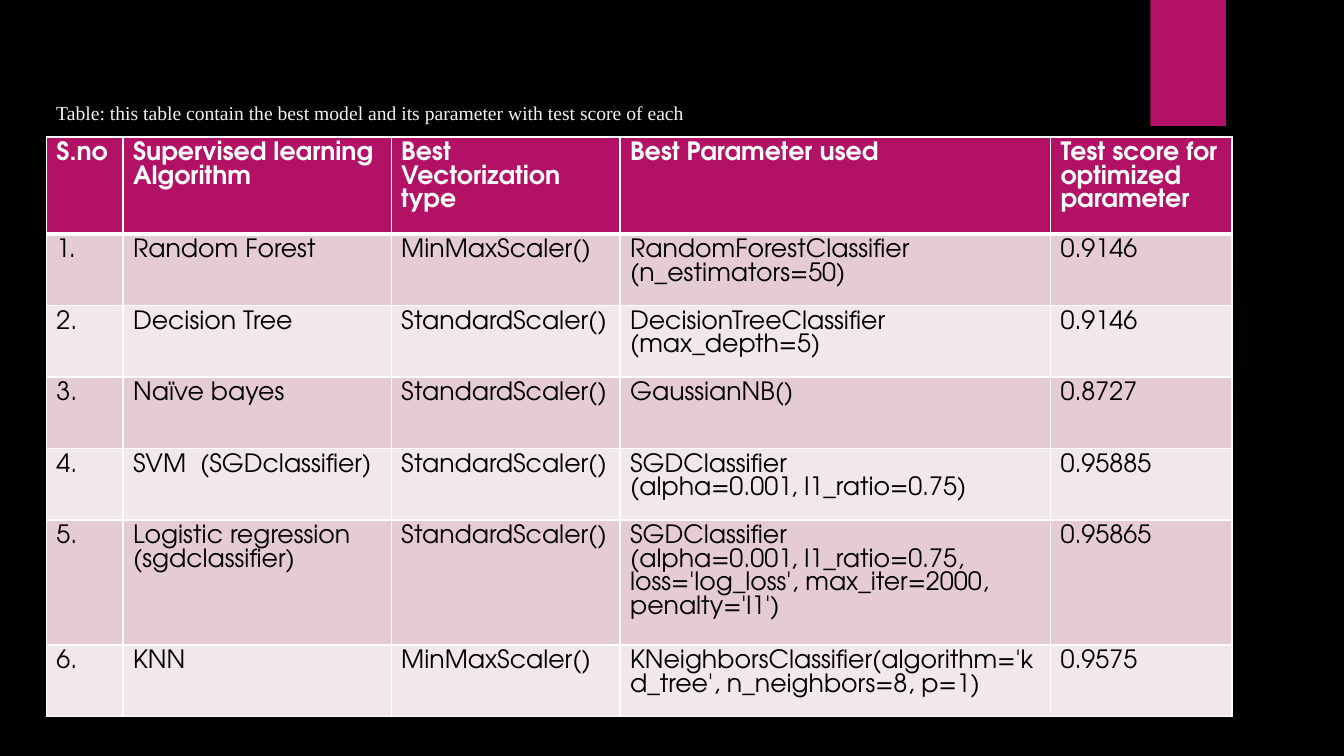
from pptx import Presentation
from pptx.dml.color import RGBColor
from pptx.enum.shapes import MSO_SHAPE
from pptx.enum.text import MSO_AUTO_SIZE
from pptx.oxml import parse_xml
from pptx.oxml.ns import nsdecls
from pptx.util import Inches, Pt

BLACK = RGBColor(0x00, 0x00, 0x00)
WHITE = RGBColor(0xFF, 0xFF, 0xFF)
PALE_GREY = RGBColor(0xF2, 0xF2, 0xF2)
MAGENTA = RGBColor(0xB3, 0x11, 0x66)
VIOLET = RGBColor(0x9B, 0x6B, 0xF2)
BANDS = (RGBColor(0xE5, 0xCC, 0xD3), RGBColor(0xF2, 0xE7, 0xEA))

TABLE_FONT = "TeX Gyre Adventor"
CAPTION_FONT = "Times New Roman"
CAPTION = "Table: this table contain the best model and its parameter with test score of each"

COLUMN_WIDTHS = (0.76, 2.66, 2.27, 4.27, 1.8)
HEADER_HEIGHT, ROW_HEIGHT, TALL_ROW_HEIGHT = 0.96, 0.71, 1.24
TALL_ROW = 5

HEADERS = ("S.no", "Supervised learning Algorithm", "Best Vectorization type",
           "Best Parameter used", "Test score for optimized parameter")
# Algorithm, vectorization, parameter lines, score
MODELS = (
    ("Random Forest", "MinMaxScaler()",
     "RandomForestClassifier\n(n_estimators=50)", "0.9146"),
    ("Decision Tree", "StandardScaler()",
     "DecisionTreeClassifier\n(max_depth=5)", "0.9146"),
    ("Naïve bayes", "StandardScaler()", "GaussianNB()", "0.8727"),
    ("SVM  (SGDclassifier)", "StandardScaler()",
     "SGDClassifier\n(alpha=0.001, l1_ratio=0.75)", "0.95885"),
    ("Logistic regression (sgdclassifier)", "StandardScaler()",
     "SGDClassifier\n(alpha=0.001, l1_ratio=0.75, loss='log_loss', "
     "max_iter=2000, penalty='l1')", "0.95865"),
    ("KNN", "MinMaxScaler()",
     "KNeighborsClassifier(algorithm='kd_tree', n_neighbors=8, p=1)", "0.9575"),
)


def add_plain_shape(page, kind, box):
    shape = page.shapes.add_shape(kind, *map(Inches, box))
    shape.shadow.inherit = False
    shape.line.fill.background()
    return shape


def add_glow(page, box):
    """Faint round glow that fades out towards its edge."""
    glow = add_plain_shape(page, MSO_SHAPE.OVAL, box)
    stops = "".join(
        f'<a:gs pos="{position}000"><a:srgbClr val="{VIOLET}">'
        f'<a:alpha val="{opacity}000"/></a:srgbClr></a:gs>'
        for position, opacity in ((0, 7), (36, 6), (69, 0)))
    gradient = parse_xml(
        f'<a:gradFill {nsdecls("a")}><a:gsLst>{stops}</a:gsLst><a:path path="circle">'
        '<a:fillToRect l="50000" t="50000" r="50000" b="50000"/></a:path></a:gradFill>')
    glow._element.spPr.insert(2, gradient)


def add_ribbon(page, box):
    ribbon = add_plain_shape(page, MSO_SHAPE.RECTANGLE, box)
    ribbon.fill.solid()
    ribbon.fill.fore_color.rgb = MAGENTA


def add_span(para, text, font, size, color, bold=False):
    span = para.add_run()
    span.text = text
    span.font.name = font
    span.font.size = Pt(size)
    span.font.color.rgb = color
    span.font.bold = bold


def add_caption(page, box):
    caption = page.shapes.add_textbox(*map(Inches, box))
    frame = caption.text_frame
    frame.word_wrap = True
    frame.auto_size = MSO_AUTO_SIZE.SHAPE_TO_FIT_TEXT
    para = frame.paragraphs[0]
    para.line_spacing = 2.0
    add_span(para, CAPTION, CAPTION_FONT, 14, PALE_GREY)


def set_borders(cell, widths):
    """Widths in points for the left, right, top and bottom edges."""
    properties = cell._tc.get_or_add_tcPr()
    for place, (edge, width) in enumerate(zip("LRTB", widths)):
        properties.insert(place, parse_xml(
            f'<a:ln{edge} {nsdecls("a")} w="{Pt(width)}"><a:solidFill>'
            f'<a:srgbClr val="{WHITE}"/></a:solidFill></a:ln{edge}>'))


def fill_cell(cell, text, is_header, fill):
    cell.fill.solid()
    cell.fill.fore_color.rgb = fill
    frame = cell.text_frame
    for number, line in enumerate(text.split("\n")):
        para = frame.add_paragraph() if number else frame.paragraphs[0]
        add_span(para, line, TABLE_FONT, 18, WHITE if is_header else BLACK, is_header)


def add_model_table(page, left, top):
    rows = [HEADERS] + [(f"{number}.", *model) for number, model in enumerate(MODELS, 1)]
    heights = [HEADER_HEIGHT] + [ROW_HEIGHT] * len(MODELS)
    heights[TALL_ROW] = TALL_ROW_HEIGHT
    box = (left, top, sum(COLUMN_WIDTHS), sum(heights))
    table = page.shapes.add_table(
        len(rows), len(COLUMN_WIDTHS), *map(Inches, box)).table
    for column, width in zip(table.columns, COLUMN_WIDTHS):
        column.width = Inches(width)
    for index, (texts, height) in enumerate(zip(rows, heights)):
        table.rows[index].height = Inches(height)
        is_header = index == 0
        fill = MAGENTA if is_header else BANDS[(index - 1) % 2]
        widths = (1, 1, 3 if index == 1 else 1, 3 if is_header else 1)
        for cell, text in zip(table.rows[index].cells, texts):
            fill_cell(cell, text, is_header, fill)
            set_borders(cell, widths)


def build_results_page(deck):
    page = deck.slides.add_slide(deck.slide_layouts[6])
    page.background.fill.solid()
    page.background.fill.fore_color.rgb = BLACK
    # Decoration
    add_glow(page, (9.41, 1.83, 3.08, 3.08))
    add_ribbon(page, (11.41, 0, 0.75, 1.25))
    # Results with their caption, on one left margin
    margin = 0.46
    add_model_table(page, margin, 1.36)
    add_caption(page, (margin, 0.72, 8.44, 0.5))


def main():
    deck = Presentation()
    deck.slide_width, deck.slide_height = Inches(13.33), Inches(7.5)
    build_results_page(deck)
    deck.save("out.pptx")


if __name__ == "__main__":
    main()
